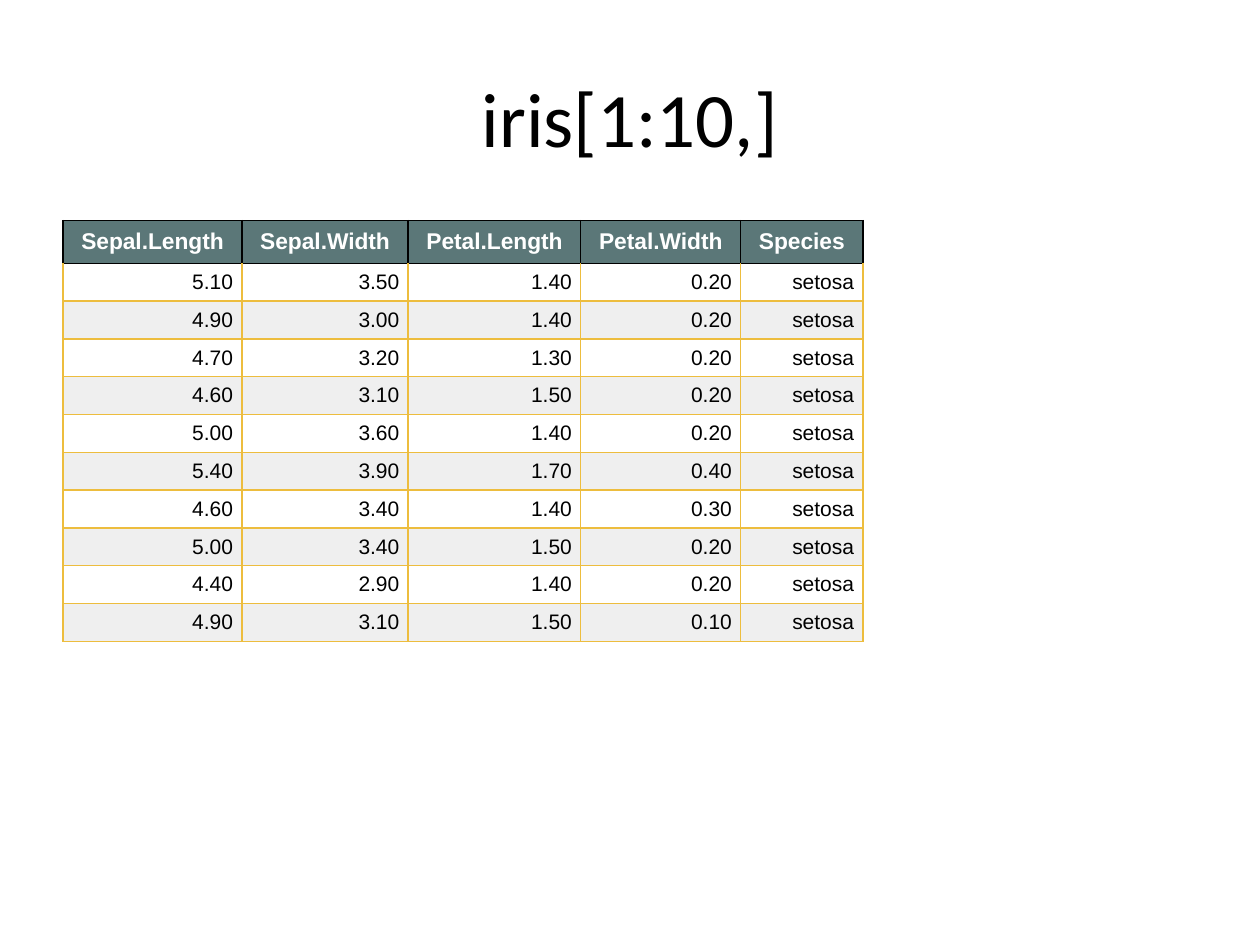
from dataclasses import dataclass

from lxml import etree
from pptx import Presentation
from pptx import util as u
from pptx.dml.color import RGBColor
from pptx.enum import text
from pptx.oxml.ns import qn


@dataclass(frozen=True)
class Theme:
    ink: str = "000000"
    white: str = "FFFFFF"
    header: str = "5B7778"
    band: str = "EFEFEF"
    rule: str = "EDBD3E"
    title_font: str = "Calibri"
    table_font: str = "Arial"
    title_size: int = 44
    header_size: int = 13
    body_size: int = 12


T = Theme()
HEADINGS = ["Sepal.Length", "Sepal.Width", "Petal.Length", "Petal.Width", "Species"]
MEASURES = [
    (5.1, 3.5, 1.4, 0.2), (4.9, 3.0, 1.4, 0.2), (4.7, 3.2, 1.3, 0.2),
    (4.6, 3.1, 1.5, 0.2), (5.0, 3.6, 1.4, 0.2), (5.4, 3.9, 1.7, 0.4),
    (4.6, 3.4, 1.4, 0.3), (5.0, 3.4, 1.5, 0.2), (4.4, 2.9, 1.4, 0.2),
    (4.9, 3.1, 1.5, 0.1),
]
COLUMN_WIDTHS = [1.42, 1.32, 1.37, 1.27, 0.97]
HEADER_HEIGHT, ROW_HEIGHT = 0.34, 0.3


def write(tf, content, *, font, size, color, bold=False, align="CENTER", gap=None, pad=None):
    """Put one formatted paragraph in a text frame; gap in points, pad in inches."""
    p = tf.paragraphs[0]
    p.alignment = getattr(text.PP_ALIGN, align)
    if gap is not None:
        p.space_before = p.space_after = u.Pt(gap)
    if pad is not None:
        pPr = p._p.get_or_add_pPr()
        for side in ("marL", "marR"):
            pPr.set(side, str(u.Inches(pad)))
        pPr.set("indent", "0")
    r = p.add_run()
    r.text = content
    r.font.name, r.font.size, r.font.bold = font, u.Pt(size), bold
    r.font.color.rgb = RGBColor.from_string(color)


def set_borders(cell, left, right, top, bottom):
    """Draw 1 pt borders; line elements must precede the cell fill."""
    tcPr = cell._tc.get_or_add_tcPr()
    for i, (tag, color) in enumerate(zip(("lnL", "lnR", "lnT", "lnB"), (left, right, top, bottom))):
        ln = etree.Element(qn(f"a:{tag}"), w=str(u.Pt(1)))
        fill = etree.SubElement(ln, qn("a:solidFill"))
        etree.SubElement(fill, qn("a:srgbClr"), val=color)
        tcPr.insert(i, ln)


def format_cell(cell, row, content):
    is_header = row == 0
    cell.vertical_anchor = text.MSO_ANCHOR.MIDDLE
    cell.margin_left = cell.margin_right = cell.margin_top = cell.margin_bottom = 0
    write(cell.text_frame, content, font=T.table_font,
          size=T.header_size if is_header else T.body_size,
          color=T.white if is_header else T.ink, bold=is_header,
          align="CENTER" if is_header else "RIGHT", gap=2, pad=0.07)

    # Header fill, then a band on every second data row
    if is_header or row % 2 == 0:
        cell.fill.solid()
        cell.fill.fore_color.rgb = RGBColor.from_string(T.header if is_header else T.band)
    else:
        cell.fill.background()

    side = T.ink if is_header else T.rule
    set_borders(cell, side, side, T.ink if row <= 1 else T.rule, T.rule)


def add_title(s, content, left, top, width, height):
    sp = s.shapes.title
    sp.left, sp.top, sp.width, sp.height = map(u.Inches, (left, top, width, height))
    sp.text_frame.vertical_anchor = text.MSO_ANCHOR.MIDDLE
    write(sp.text_frame, content, font=T.title_font, size=T.title_size, color=T.ink)


def add_data_table(s, rows, left, top, width, height):
    box = [u.Inches(v) for v in (left, top, width, height)]
    frame = s.shapes.add_table(len(rows), len(rows[0]), *box)
    table = frame.table
    table.horz_banding = False
    for column, w in zip(table.columns, COLUMN_WIDTHS):
        column.width = u.Inches(w)
    for i, values in enumerate(rows):
        table.rows[i].height = u.Inches(ROW_HEIGHT if i else HEADER_HEIGHT)
        for j, value in enumerate(values):
            format_cell(table.cell(i, j), i, value)
    # The frame keeps the full content box
    frame.width, frame.height = box[2:]


prs = Presentation()
prs.slide_width, prs.slide_height = u.Inches(10), u.Inches(7.5)
s = prs.slides.add_slide(prs.slide_layouts[5])

# Title
add_title(s, "iris[1:10,]", 0.5, 0.3, 9, 1.25)

# Data table
rows = [HEADINGS] + [[f"{v:.2f}" for v in m] + ["setosa"] for m in MEASURES]
add_data_table(s, rows, 0.5, 1.75, 9, 4.95)

prs.save("out.pptx")
